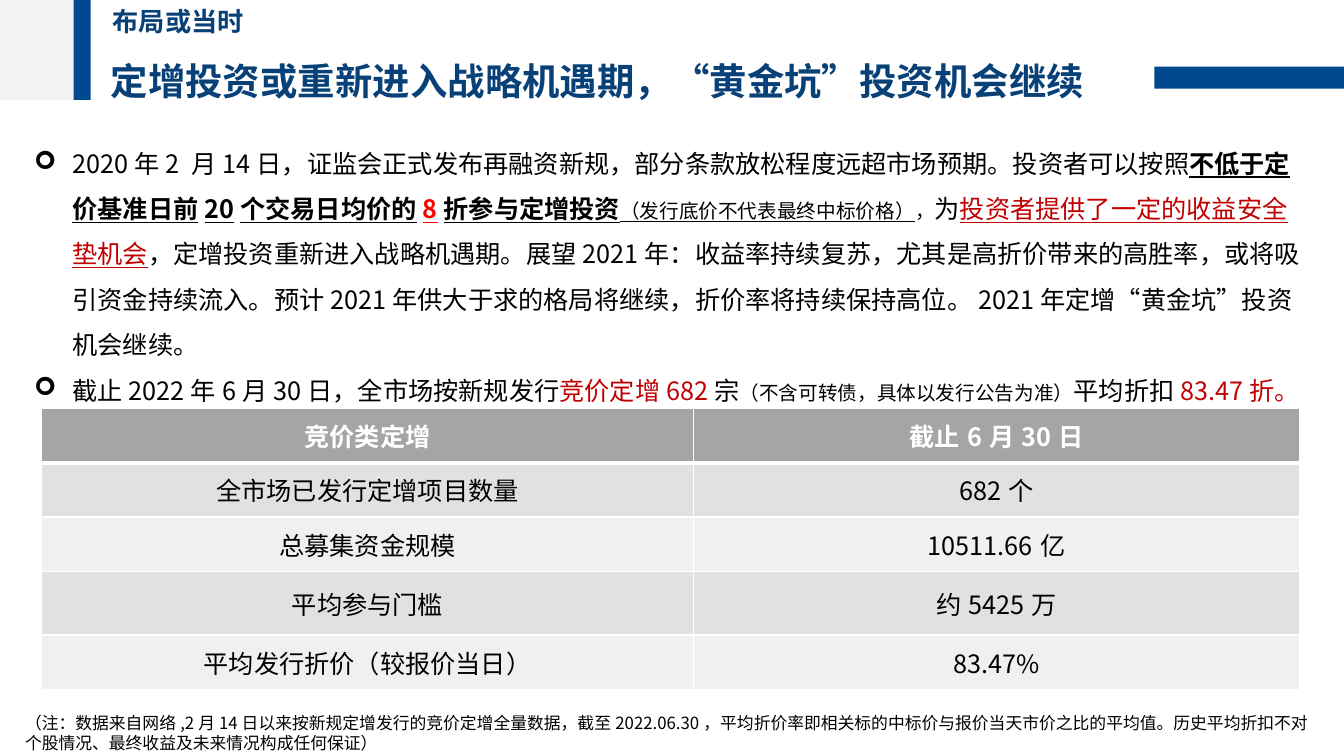
from lxml import etree
from pptx import Presentation
from pptx.dml.color import RGBColor
from pptx.enum.lang import MSO_LANGUAGE_ID
from pptx.enum.shapes import MSO_SHAPE
from pptx.enum.text import MSO_ANCHOR, MSO_AUTO_SIZE, PP_ALIGN
from pptx.oxml.ns import qn
from pptx.util import Pt

PX = 9144  # EMU per px, 100 px to the inch
FONT = "Noto Sans CJK SC"
RECT = MSO_SHAPE.RECTANGLE
CENTER, JUSTIFY = PP_ALIGN.CENTER, PP_ALIGN.JUSTIFY
MIDDLE = MSO_ANCHOR.MIDDLE
GROW = MSO_AUTO_SIZE.SHAPE_TO_FIT_TEXT
CHINESE = MSO_LANGUAGE_ID.SIMPLIFIED_CHINESE
BLUE, NAVY, BLACK, WHITE = "004990", "084078", "000000", "FFFFFF"
RED, BRIGHT = "C00000", "FF0000"


def style(run, size, color=BLACK, bold=False, line=False):
    font = run.font
    font.name, font.size, font.bold = FONT, Pt(size), bold
    font.underline = line
    font.language_id = CHINESE
    font.color.rgb = RGBColor.from_string(color)
    etree.SubElement(font._element, qn("a:ea"), typeface=FONT)


def add_box(left, top, width, height, wrap=True):
    box = slide.shapes.add_textbox(left * PX, top * PX, width * PX, height * PX)
    frame = box.text_frame
    frame.word_wrap = wrap
    frame.auto_size = GROW
    return frame


prs = Presentation()
prs.slide_width, prs.slide_height = 1333 * PX, 750 * PX
slide = prs.slides.add_slide(prs.slide_layouts[6])

# Header bars
bars = [(0, 0, 73, 99, "F2F2F2"), (73, 0, 17, 99, BLUE), (1145, 66, 188, 22, BLUE)]
for left, top, width, height, color in bars:
    bar = slide.shapes.add_shape(RECT, left * PX, top * PX, width * PX, height * PX)
    bar.shadow.inherit = False
    bar.fill.solid()
    bar.fill.fore_color.rgb = RGBColor.from_string(color)
    bar.line.fill.background()

# Title and section label
title = add_box(100, 31, 1027, 137, wrap=False).paragraphs[0]
title.text = "定增投资或重新进入战略机遇期，“黄金坑”投资机会继续"
title.alignment = JUSTIFY
title.line_spacing = 1.5
style(title.runs[0], 26.7, NAVY, True)

label = add_box(102, 0, 151, 42, wrap=False).paragraphs[0]
label.text = "布局或当时"
style(label.runs[0], 18.7, NAVY, True)

# Bullets: text, size, colour, bold, underline
points = [
    [
        ("2020年2 月14日，证监会正式发布再融资新规，部分条款放松程度远超市场预期。投资者可以按照", 18),
        ("不低于定价基准日前20个交易日均价的", 18, BLACK, True, True),
        ("8", 18, BRIGHT, True, True),
        ("折参与定增投资", 18, BLACK, True, True),
        ("（发行底价不代表最终中标价格）", 14, BLACK, False, True),
        ("，", 14),
        ("为", 18),
        ("投资者提供了一定的收益安全垫机会", 18, RED, False, True),
        ("，定增投资重新进入战略机遇期。展望2021年：收益率持续复苏，尤其是高折价带来的高胜率，"
         "或将吸引资金持续流入。预计2021年供大于求的格局将继续，折价率将持续保持高位。"
         "2021年定增“黄金坑”投资机会继续。", 18),
    ],
    [
        ("截止2022年6月30日，全市场按新规发行", 18),
        ("竞价定增682", 18, RED),
        ("宗", 18),
        ("（不含可转债，具体以发行公告为准）", 14),
        ("平均折扣", 18),
        ("83.47折。", 18, RED),
    ],
]
body = add_box(24, 127, 1281, 283)
for i, parts in enumerate(points):
    para = body.paragraphs[0] if i == 0 else body.add_paragraph()
    para.line_spacing = 1.5
    props = para._p.get_or_add_pPr()
    props.set("marL", str(38 * PX))
    props.set("indent", str(-38 * PX))
    etree.SubElement(props, qn("a:buFont"), typeface="Wingdings")
    etree.SubElement(props, qn("a:buChar"), char="➢")
    for words, *look in parts:
        run = para.add_run()
        run.text = words
        style(run, *look)

# Table
rows = [
    ("竞价类定增", "截止6月30日"),
    ("全市场已发行定增项目数量", "682个"),
    ("总募集资金规模", "10511.66亿"),
    ("平均参与门槛", "约5425万"),
    ("平均发行折价（较报价当日）", "83.47%"),
]
table = slide.shapes.add_table(5, 2, 41 * PX, 405 * PX, 1248 * PX, 279 * PX).table
for col, width in zip(table.columns, (647, 601)):
    col.width = width * PX
for row, height in zip(table.rows, (54, 54, 54, 63, 54)):
    row.height = height * PX

for r, row in enumerate(rows):
    head = r == 0
    fill = "A5A5A5" if head else ("F0F0F0", "E1E1E1")[r % 2]
    for c, words in enumerate(row):
        cell = table.cell(r, c)
        cell.vertical_anchor = MIDDLE
        para = cell.text_frame.paragraphs[0]
        para.text = words
        para.alignment = CENTER
        style(para.runs[0], 18, WHITE if head else BLACK, head)
        # Borders come before the fill in the cell properties
        props = cell._tc.get_or_add_tcPr()
        for side in "LRTB":
            thick = (r, side) in ((0, "B"), (1, "T"))
            edge = etree.SubElement(props, qn("a:ln" + side), w=str(Pt(3 if thick else 1)))
            paint = etree.SubElement(edge, qn("a:solidFill"))
            etree.SubElement(paint, qn("a:srgbClr"), val=WHITE)
        cell.fill.solid()
        cell.fill.fore_color.rgb = RGBColor.from_string(fill)

# Footnote
note = add_box(15, 702, 1304, 50).paragraphs[0]
note.text = (
    "（注：数据来自网络,2月14日以来按新规定增发行的竞价定增全量数据，截至2022.06.30，"
    "平均折价率即相关标的中标价与报价当天市价之比的平均值。"
    "历史平均折扣不对个股情况、最终收益及未来情况构成任何保证）"
)
style(note.runs[0], 12)

prs.save("out.pptx")
